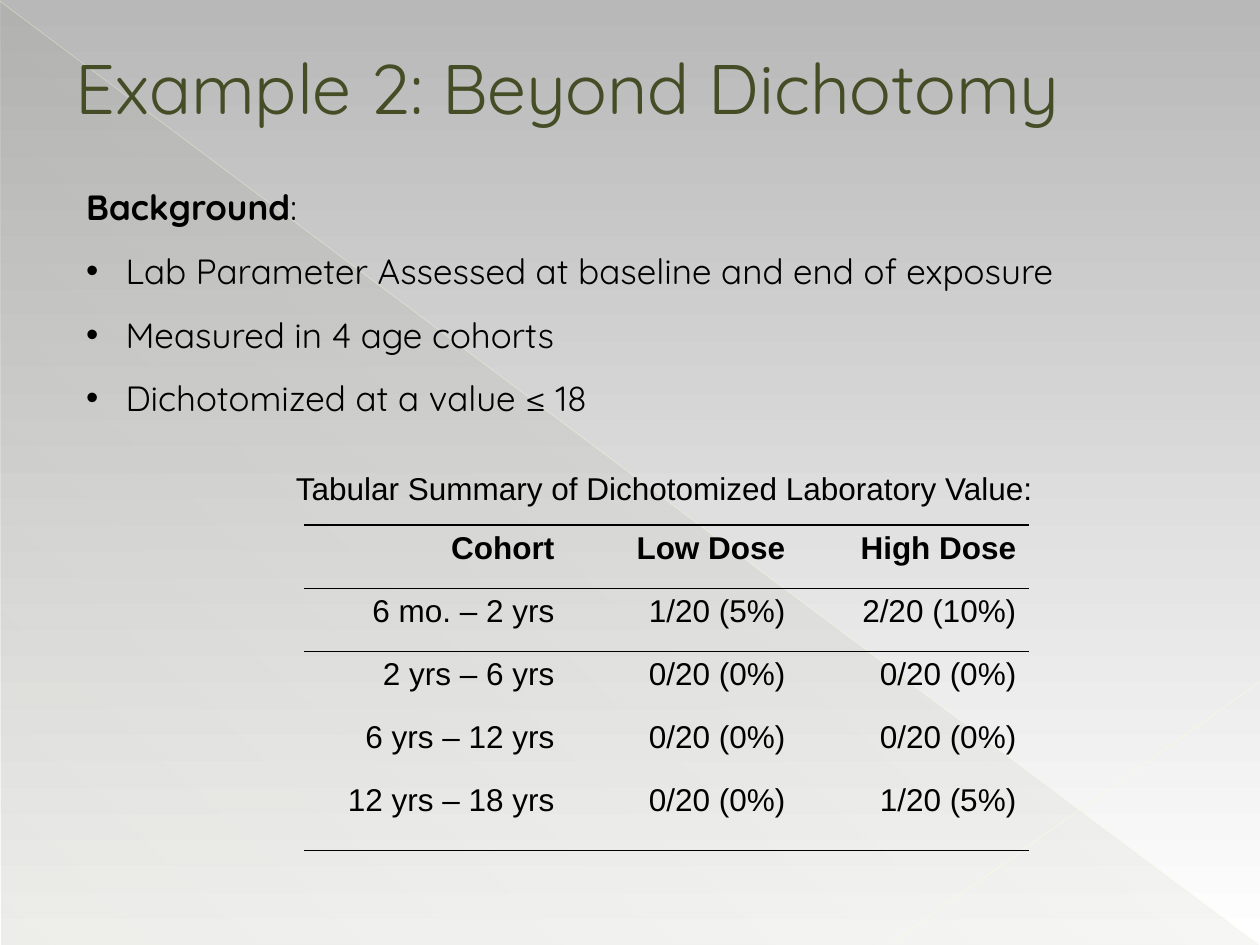
from dataclasses import dataclass
from lxml.etree import SubElement
from pptx import Presentation
from pptx.dml.color import RGBColor
from pptx.enum.shapes import MSO_CONNECTOR, MSO_SHAPE
from pptx.enum.text import MSO_ANCHOR, MSO_AUTO_SIZE, PP_ALIGN
from pptx.oxml.ns import qn
from pptx.util import Pt


@dataclass(frozen=True)
class Theme:
    olive: str = "444D26"
    ink: str = "000000"
    top: str = "B8B8B8"
    base: str = "FFFFFF"
    head: str = "Quicksand"
    plain: str = "Arial"
    title: int = 40
    body: int = 20
    table: int = 18


T = Theme()
WIDE, HIGH = 720, 540
TITLE = "Example 2: Beyond Dichotomy"
LEAD = ["Background", ":"]
POINTS = [
    "Lab Parameter Assessed at baseline and end of exposure",
    "Measured in 4 age cohorts",
    "Dichotomized at a value ≤ 18",
]
LABEL = "Tabular Summary of Dichotomized Laboratory Value:"
ROWS = [
    ("Cohort", "Low Dose", "High Dose"),
    ("6 mo. – 2 yrs", "1/20 (5%)", "2/20 (10%)"),
    ("2 yrs – 6 yrs", "0/20 (0%)", "0/20 (0%)"),
    ("6 yrs – 12 yrs", "0/20 (0%)", "0/20 (0%)"),
    ("12 yrs – 18 yrs", "0/20 (0%)", "1/20 (5%)"),
]
COLS = [150, 132, 132]
TALL = [36, 36, 36, 36, 42]
RULES = {0: {"T": 1.08, "B": 0.45}, 1: {"T": 0.45}, len(ROWS) - 1: {"B": 1.08}}
RAYS = [
    ((0, 0.72, 719.28, 539.28), "FFFFD6", 0.4, 35),
    ((720, 389.52, 509.04, 539.28), "FFFFDA", 0.48, 45),
]
NO_GRID = "{2D5ABB26-0587-4C30-8999-92F81FD0307C}"


def rgb(code):
    return RGBColor.from_string(code)


def fade(node, share):
    SubElement(node, qn("a:alpha")).set("val", str(share * 1000))


def blend(fill, codes, angle):
    fill.gradient()
    fill.gradient_angle = angle
    for stop, code in zip(fill.gradient_stops, codes):
        stop.color.rgb = rgb(code)


def place(shape, x, y, w, h):
    shape.left, shape.top, shape.width, shape.height = map(Pt, (x, y, w, h))


def write(par, *parts, size=T.body, font=T.head, color=T.ink, bold=(False,),
          align=PP_ALIGN.LEFT, before=0, left=0, hang=0, bullet=None):
    par.alignment, par.space_before = align, Pt(before)
    props = par._p.get_or_add_pPr()
    props.set("marL", str(Pt(left)))
    props.set("indent", str(Pt(-hang)))
    if bullet:
        tint = SubElement(props, qn("a:buClr"))
        SubElement(tint, qn("a:srgbClr")).set("val", color)
        SubElement(props, qn("a:buFont")).set("typeface", T.plain)
        SubElement(props, qn("a:buChar")).set("char", bullet)
    else:
        SubElement(props, qn("a:buNone"))
    for part, heavy in zip(parts, bold):
        run = par.add_run()
        run.text = part
        run.font.size, run.font.name, run.font.bold = Pt(size), font, heavy
        run.font.color.rgb = rgb(color)


def frame(shape, anchor):
    text = shape.text_frame
    text.word_wrap, text.auto_size = True, MSO_AUTO_SIZE.NONE
    text.vertical_anchor = anchor
    return text


def rule(cell, sides):
    props = cell._tc.get_or_add_tcPr()
    for spot, (side, width) in enumerate(sides.items()):
        line = props.makeelement(qn(f"a:ln{side}"), {"w": str(Pt(width))})
        fill = SubElement(line, qn("a:solidFill"))
        SubElement(fill, qn("a:srgbClr")).set("val", T.ink)
        props.insert(spot, line)


def backdrop(slide):
    blend(slide.background.fill, (T.top, T.base), 270)
    wedge = slide.shapes.add_shape(MSO_SHAPE.RIGHT_TRIANGLE, 0, 0, 0, 0)
    place(wedge, 0.72, 1.44, 719.28, 538.56)
    wedge.shadow.inherit = False
    wedge.line.fill.background()
    blend(wedge.fill, (T.olive, T.olive), 227)
    for node, share in zip(wedge._element.spPr.iter(qn("a:srgbClr")), (1, 10)):
        fade(node, share)
    decor = [wedge]
    for ends, code, width, share in RAYS:
        ray = slide.shapes.add_connector(MSO_CONNECTOR.STRAIGHT, *map(Pt, ends))
        ray.line.width, ray.line.color.rgb = Pt(width), rgb(code)
        props = ray._element.spPr
        fade(next(props.iter(qn("a:srgbClr"))), share)
        SubElement(props, qn("a:effectLst"))
        decor.append(ray)
    for spot, shape in enumerate(decor, 2):
        slide.shapes._spTree.insert(spot, shape._element)


def summary(slide):
    label = slide.shapes.add_textbox(0, 0, 0, 0)
    place(label, 162, 264.24, 492, 29)
    write(frame(label, MSO_ANCHOR.TOP).paragraphs[0], LABEL,
          size=T.table, font=T.plain, before=11.2)
    grid = slide.shapes.add_table(len(ROWS), len(COLS), Pt(174), Pt(300),
                                  Pt(sum(COLS)), Pt(sum(TALL))).table
    grid.first_row = grid.horz_banding = False
    grid._tbl.tblPr.find(qn("a:tableStyleId")).text = NO_GRID
    for col, wide in zip(grid.columns, COLS):
        col.width = Pt(wide)
    for r, (row, tall) in enumerate(zip(ROWS, TALL)):
        grid.rows[r].height = Pt(tall)
        for c, word in enumerate(row):
            cell = grid.cell(r, c)
            cell.fill.background()
            rule(cell, RULES.get(r, {}))
            write(cell.text_frame.paragraphs[0], word, size=T.table,
                  font=T.plain, bold=(r == 0,), align=PP_ALIGN.RIGHT,
                  before=4.5, left=5)


def main():
    deck = Presentation()
    deck.slide_width, deck.slide_height = Pt(WIDE), Pt(HIGH)
    slide = deck.slides.add_slide(deck.slide_layouts[1])
    backdrop(slide)
    title, body = slide.placeholders
    place(title, 36, 5.76, 648, 87.12)
    write(frame(title, MSO_ANCHOR.MIDDLE).paragraphs[0], TITLE,
          size=T.title, color=T.olive)
    summary(slide)
    place(body, 42, 102.24, 648, 141.12)
    text = frame(body, MSO_ANCHOR.TOP)
    write(text.paragraphs[0], *LEAD, bold=(True, False), before=12.5)
    for point in POINTS:
        write(text.add_paragraph(), point, before=12.5,
              left=22.5, hang=22.5, bullet="•")
    deck.save("out.pptx")


if __name__ == "__main__":
    main()
